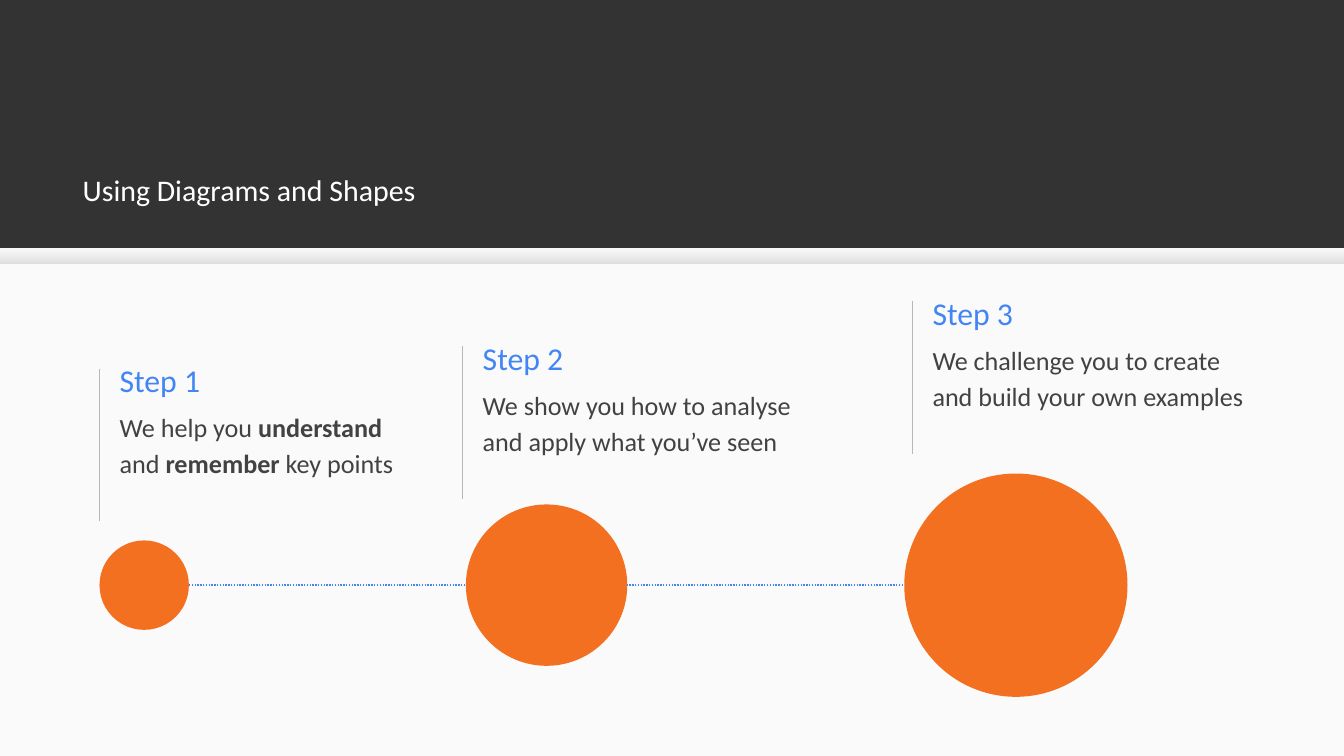
from dataclasses import dataclass

from lxml.etree import SubElement
from pptx import Presentation
from pptx.dml.color import RGBColor
from pptx.enum.dml import MSO_LINE
from pptx.enum.shapes import MSO_CONNECTOR, MSO_SHAPE
from pptx.enum.text import MSO_ANCHOR, MSO_AUTO_SIZE, PP_ALIGN
from pptx.oxml.ns import qn
from pptx.util import Inches, Pt


@dataclass(frozen=True)
class Theme:
    font: str = "Calibri"
    header: str = "333333"
    panel: str = "FAFAFA"
    shade_top: str = "F9F9F9"
    shade_bottom: str = "DEDEDE"
    title: str = "FFFFFF"
    accent: str = "4285F4"
    body: str = "424242"
    rule: str = "B7B7B7"
    circle: str = "F37021"
    title_size: int = 32
    step_size: int = 34
    body_size: int = 28
    inset: float = 0.2


def color(value):
    return RGBColor.from_string(value)


def write(frame, runs, *, font, size, fill, anchor=MSO_ANCHOR.TOP,
          inset=0.2, line_spacing=1.0):
    """Fill a text frame with (text, bold) runs in one paragraph."""
    frame.word_wrap = True
    frame.auto_size = MSO_AUTO_SIZE.NONE
    frame.vertical_anchor = anchor
    frame.margin_left = frame.margin_right = Inches(inset)
    frame.margin_top = frame.margin_bottom = Inches(inset)
    paragraph = frame.paragraphs[0]
    paragraph.alignment = PP_ALIGN.LEFT
    paragraph.line_spacing = line_spacing
    for words, bold in runs:
        run = paragraph.add_run()
        run.text = words
        run.font.name = font
        run.font.size = Pt(size)
        run.font.bold = bold
        run.font.color.rgb = color(fill)


class StepSlide:
    def __init__(self, deck, theme):
        self.theme = theme
        self.slide = deck.slides.add_slide(deck.slide_layouts[5])
        backdrop = self.slide.background.fill
        backdrop.solid()
        backdrop.fore_color.rgb = color(theme.header)

    def shape(self, kind, left, top, width, height, *fills):
        """Draw a borderless shape: one fill is solid, two make a gradient."""
        shape = self.slide.shapes.add_shape(
            kind, Inches(left), Inches(top), Inches(width), Inches(height))
        shape.shadow.inherit = False
        shape.line.fill.background()
        if len(fills) == 1:
            shape.fill.solid()
            shape.fill.fore_color.rgb = color(fills[0])
        else:
            shape.fill.gradient()
            shape.fill.gradient_angle = 270
            for stop, value in zip(shape.fill.gradient_stops, fills):
                stop.color.rgb = color(value)

    def line(self, start, end, fill, weight, dash=None):
        line = self.slide.shapes.add_connector(
            MSO_CONNECTOR.STRAIGHT, *map(Inches, start + end))
        line.line.color.rgb = color(fill)
        line.line.width = Pt(weight)
        if dash:
            line.line.dash_style = dash
        SubElement(line._element.spPr, qn("a:effectLst"))

    def title(self, words, left, top, width, height):
        title = self.slide.shapes.title
        title.left, title.top = Inches(left), Inches(top)
        title.width, title.height = Inches(width), Inches(height)
        write(title.text_frame, [(words, False)], font=self.theme.font,
              size=self.theme.title_size, fill=self.theme.title,
              anchor=MSO_ANCHOR.BOTTOM, inset=self.theme.inset)

    def text(self, runs, left, top, width, height, **style):
        box = self.slide.shapes.add_textbox(
            Inches(left), Inches(top), Inches(width), Inches(height))
        write(box.text_frame, runs, font=self.theme.font,
              inset=self.theme.inset, **style)

    def step(self, number, runs, left, top, width):
        """Vertical rule with a heading and a description to its right."""
        theme = self.theme
        self.line((left, top), (left, top + 2.27), theme.rule, 0.75)
        self.text([(f"Step {number}", False)], left + 0.1, top - 0.26, 3.97, 0.86,
                  size=theme.step_size, fill=theme.accent,
                  anchor=MSO_ANCHOR.MIDDLE)
        self.text(runs, left + 0.1, top + 0.37, width, 1.26,
                  size=theme.body_size, fill=theme.body, line_spacing=1.15)


def main():
    theme = Theme()
    slide_width, slide_height = 19.99, 11.24
    panel_top = 3.69
    deck = Presentation()
    deck.slide_width, deck.slide_height = Inches(slide_width), Inches(slide_height)
    page = StepSlide(deck, theme)

    # Light panel with a shaded upper edge, below the title
    page.shape(MSO_SHAPE.RECTANGLE, 0, panel_top, slide_width,
               slide_height - panel_top, theme.panel)
    page.shape(MSO_SHAPE.RECTANGLE, 0, panel_top, slide_width, 0.24,
               theme.shade_top, theme.shade_bottom)
    page.title("Using Diagrams and Shapes", 1.03, 1.61, 17.97, 1.68)

    # Step descriptions: runs, rule left, rule top, text width
    steps = [
        ([("We help you ", False), ("understand", True), (" and ", False),
          ("remember", True), (" key points", False)], 1.48, 5.48, 4.58),
        ([("We show you how to analyse and apply what you’ve seen", False)],
         6.88, 5.15, 5.33),
        ([("We challenge you to create and build your own examples", False)],
         13.57, 4.48, 5.33),
    ]
    for number, step in enumerate(steps, start=1):
        page.step(number, *step)

    # Growing circles centred on a dotted line: left, diameter
    axis = 8.7
    circles = [(1.48, 1.33), (6.93, 2.4), (13.45, 3.32)]
    line_start = sum(circles[0])
    line_end = circles[-1][0]
    page.line((line_start, axis), (line_end, axis), theme.accent, 1.5,
              MSO_LINE.ROUND_DOT)
    for left, diameter in circles:
        page.shape(MSO_SHAPE.OVAL, left, axis - diameter / 2,
                   diameter, diameter, theme.circle)

    deck.save("out.pptx")


if __name__ == "__main__":
    main()
